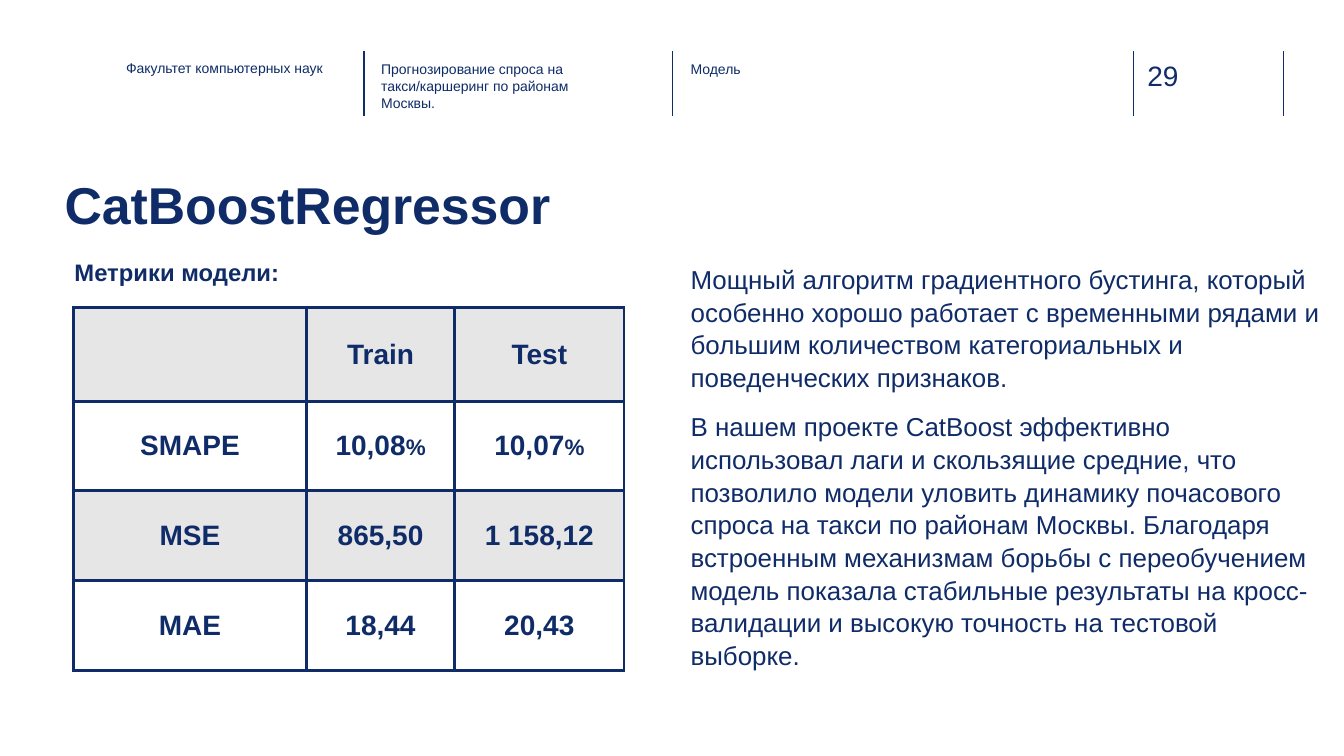
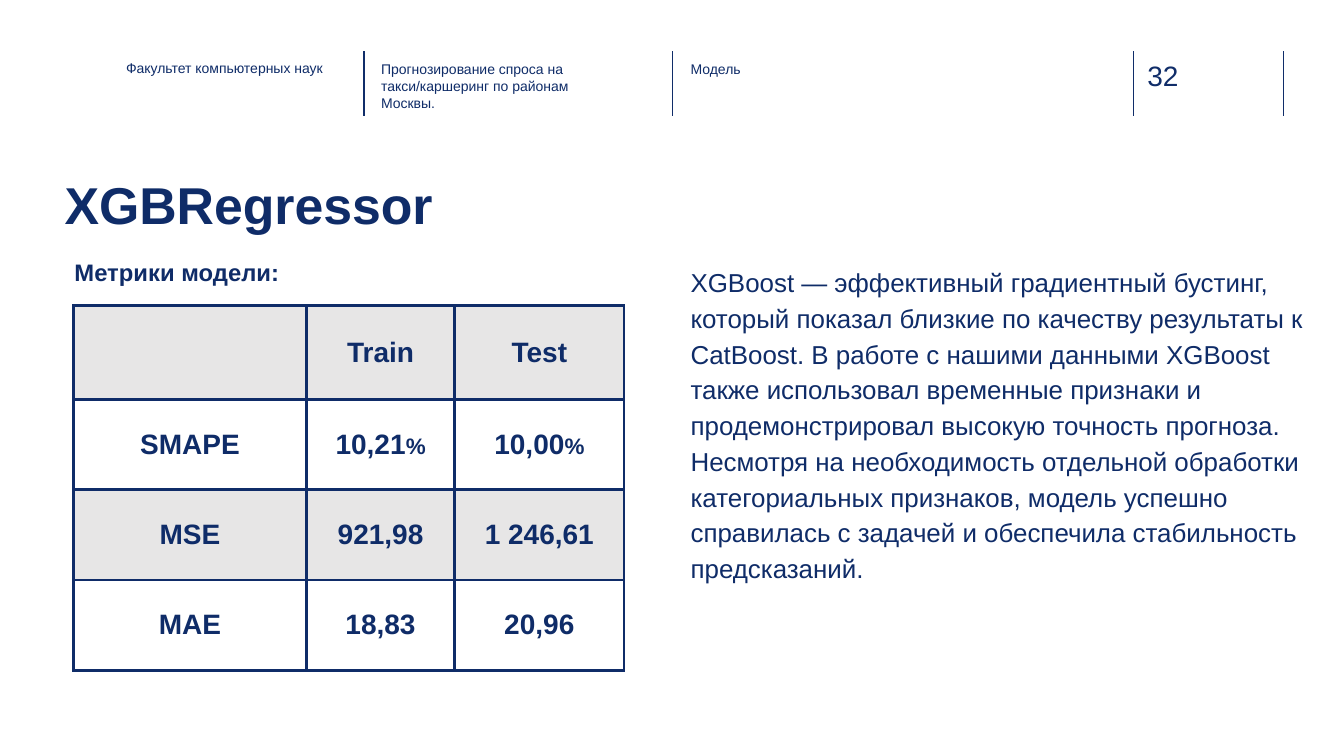
from lxml.etree import SubElement
from pptx import Presentation
from pptx.dml.color import RGBColor
from pptx.enum.shapes import MSO_CONNECTOR
from pptx.enum.text import MSO_ANCHOR, PP_ALIGN
from pptx.oxml.ns import qn
from pptx.util import Inches, Pt

NAVY = RGBColor(0x0F, 0x2C, 0x68)
RULE = RGBColor(0x10, 0x2D, 0x69)
GREY = RGBColor(0xE7, 0xE6, 0xE6)
WHITE = RGBColor(0xFF, 0xFF, 0xFF)
FONT = "Arial"

SLIDE_W, SLIDE_H = 13.33, 7.5
HEADER_BOX = (0, 0.51, SLIDE_W, 0.64)
TITLE_BOX = (0.64, 1.62, 8.38, 0.98)
LABEL_BOX = (0.64, 2.41, 2.47, 0.72)
BODY_BOX = (6.85, 2.6, 6.24, 4.58)
TABLE_LEFT, TABLE_BOTTOM = 0.73, 6.65
COL_WIDTHS = (2.31, 1.47, 1.68)
HEAD_ROW = 0.93
HEADER_RULES = (3.61, 6.67, 11.24, 12.73)
HEADER_TEXTS = (
    (1.25, 0.08, 2.08, "Факультет компьютерных наук"),
    (3.78, 0.09, 2.26, "Прогнозирование спроса на такси/каршеринг по районам Москвы."),
    (6.85, 0.09, 2.26, "Модель"),
)

MODELS = (
    {
        "page": 29,
        "title": "CatBoostRegressor",
        "table_top": 3.05,
        "spacing": 1.05,
        "body": (
            "Мощный алгоритм градиентного бустинга, который особенно хорошо работает "
            "с временными рядами и большим количеством категориальных и поведенческих "
            "признаков.",
            "В нашем проекте CatBoost эффективно использовал лаги и скользящие средние, "
            "что позволило модели уловить динамику почасового спроса на такси по районам "
            "Москвы. Благодаря встроенным механизмам борьбы с переобучением модель "
            "показала стабильные результаты на кросс-валидации и высокую точность на "
            "тестовой выборке.",
        ),
        "metrics": (
            ("SMAPE", "10,08%", "10,07%"),
            ("MSE", "865,50", "1 158,12"),
            ("MAE", "18,44", "20,43"),
        ),
    },
    {
        "page": 32,
        "title": "XGBRegressor",
        "table_top": 3.03,
        "spacing": 1.15,
        "body": (
            "XGBoost — эффективный градиентный бустинг, который показал близкие по "
            "качеству результаты к CatBoost. В работе с нашими данными XGBoost также "
            "использовал временные признаки и продемонстрировал высокую точность "
            "прогноза. Несмотря на необходимость отдельной обработки категориальных "
            "признаков, модель успешно справилась с задачей и обеспечила стабильность "
            "предсказаний.",
        ),
        "metrics": (
            ("SMAPE", "10,21%", "10,00%"),
            ("MSE", "921,98", "1 246,61"),
            ("MAE", "18,83", "20,96"),
        ),
    },
)


def style(r, size, bold=False, color=NAVY):
    r.font.name = FONT
    r.font.size = Pt(size)
    r.font.bold = bold
    r.font.color.rgb = color


def add_text(s, box, paragraphs, size, bold=False, color=NAVY, inset=0, spacing=None):
    tf = s.shapes.add_textbox(*map(Inches, box)).text_frame
    tf.word_wrap = True
    tf.margin_left = tf.margin_right = tf.margin_top = tf.margin_bottom = Inches(inset)
    for i, text in enumerate(paragraphs):
        p = tf.add_paragraph() if i else tf.paragraphs[0]
        p.text = text
        p.line_spacing = spacing
        if i:
            p.space_before = Pt(12)
        style(p.runs[0], size, bold, color)


def add_header(s, box, page):
    left, top, _, height = box
    for x in HEADER_RULES:
        line = s.shapes.add_connector(
            MSO_CONNECTOR.STRAIGHT, Inches(left + x), Inches(top),
            Inches(left + x), Inches(top + height))
        line.line.color.rgb = RULE
        line.line.width = Pt(1)
        SubElement(line._element.spPr, qn("a:effectLst"))
    for x, y, width, text in HEADER_TEXTS:
        add_text(s, (left + x, top + y, width, 0.45), [text], 10)
    add_text(s, (left + 11.38, top + 0.07, 0.73, 0.34), [str(page)], 20, color=RULE)


def set_borders(cell):
    tcPr = cell._tc.get_or_add_tcPr()
    for i, side in enumerate(("lnL", "lnR", "lnT", "lnB")):
        ln = tcPr.makeelement(qn(f"a:{side}"), {"w": str(Pt(2.25))})
        fill = SubElement(ln, qn("a:solidFill"))
        SubElement(fill, qn("a:srgbClr"), val=str(NAVY))
        tcPr.insert(i, ln)


def fill_cell(cell, text, color):
    cell.fill.solid()
    cell.fill.fore_color.rgb = color
    cell.vertical_anchor = MSO_ANCHOR.MIDDLE
    cell.margin_left = cell.margin_right = Inches(0.1)
    cell.margin_top = cell.margin_bottom = Inches(0.1)
    set_borders(cell)
    p = cell.text_frame.paragraphs[0]
    p.alignment = PP_ALIGN.CENTER
    number = text.rstrip("%")
    for part, size in ((number, 20), (text[len(number):], 16)):
        if part:
            r = p.add_run()
            r.text = part
            style(r, size, True)


def add_metrics(s, box, metrics):
    rows = (("", "Train", "Test"), *metrics)
    table = s.shapes.add_table(len(rows), len(COL_WIDTHS), *map(Inches, box)).table
    for col, width in zip(table.columns, COL_WIDTHS):
        col.width = Inches(width)
    row_height = (box[3] - HEAD_ROW) / len(metrics)
    for i, values in enumerate(rows):
        table.rows[i].height = Inches(row_height if i else HEAD_ROW)
        for j, text in enumerate(values):
            fill_cell(table.cell(i, j), text, WHITE if i % 2 else GREY)


def add_model_slide(prs, model):
    s = prs.slides.add_slide(prs.slide_layouts[6])
    add_header(s, HEADER_BOX, model["page"])
    add_text(s, TITLE_BOX, [model["title"]], 37, bold=True, spacing=1.15)
    add_text(s, BODY_BOX, model["body"], 18.5, spacing=model["spacing"])
    add_text(s, LABEL_BOX, ["Метрики модели:"], 17, bold=True, inset=0.1, spacing=1.15)
    top = model["table_top"]
    add_metrics(s, (TABLE_LEFT, top, sum(COL_WIDTHS), TABLE_BOTTOM - top), model["metrics"])


def main():
    prs = Presentation()
    prs.slide_width, prs.slide_height = Inches(SLIDE_W), Inches(SLIDE_H)
    for model in MODELS:
        add_model_slide(prs, model)
    prs.save("out.pptx")


if __name__ == "__main__":
    main()
